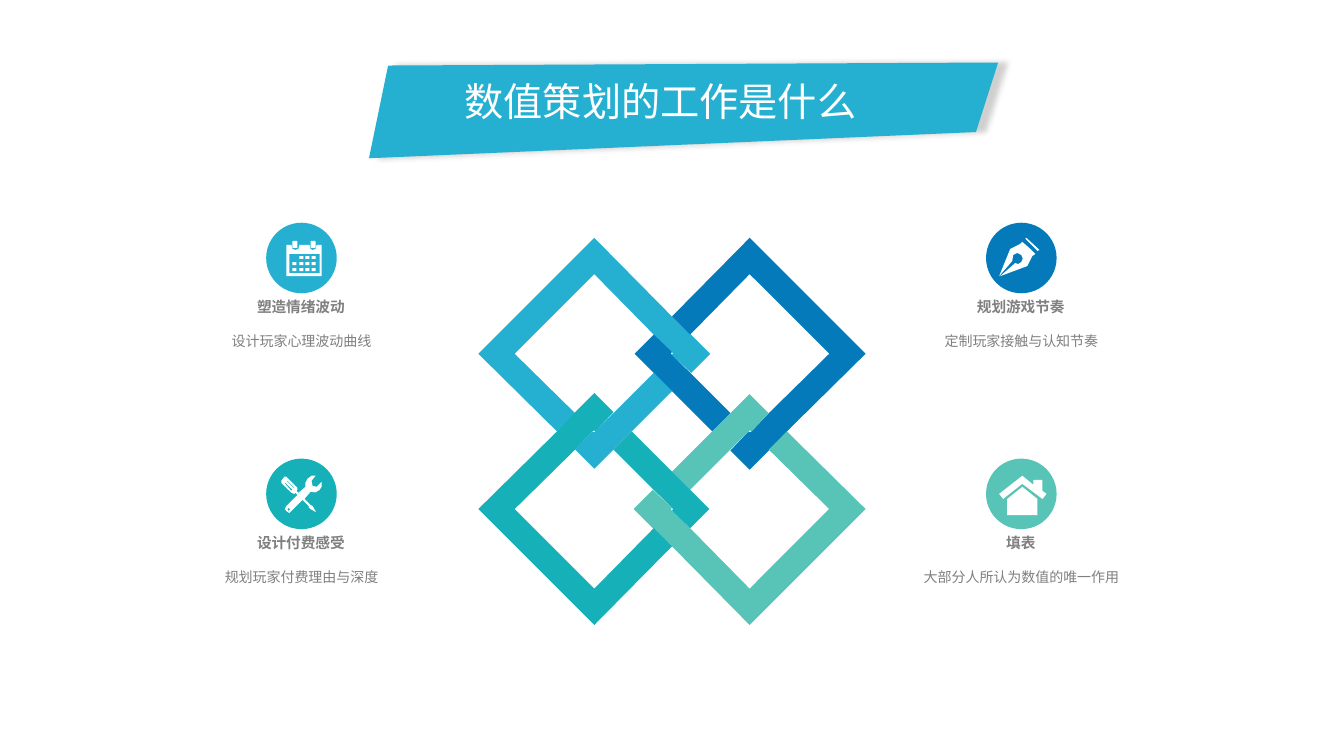
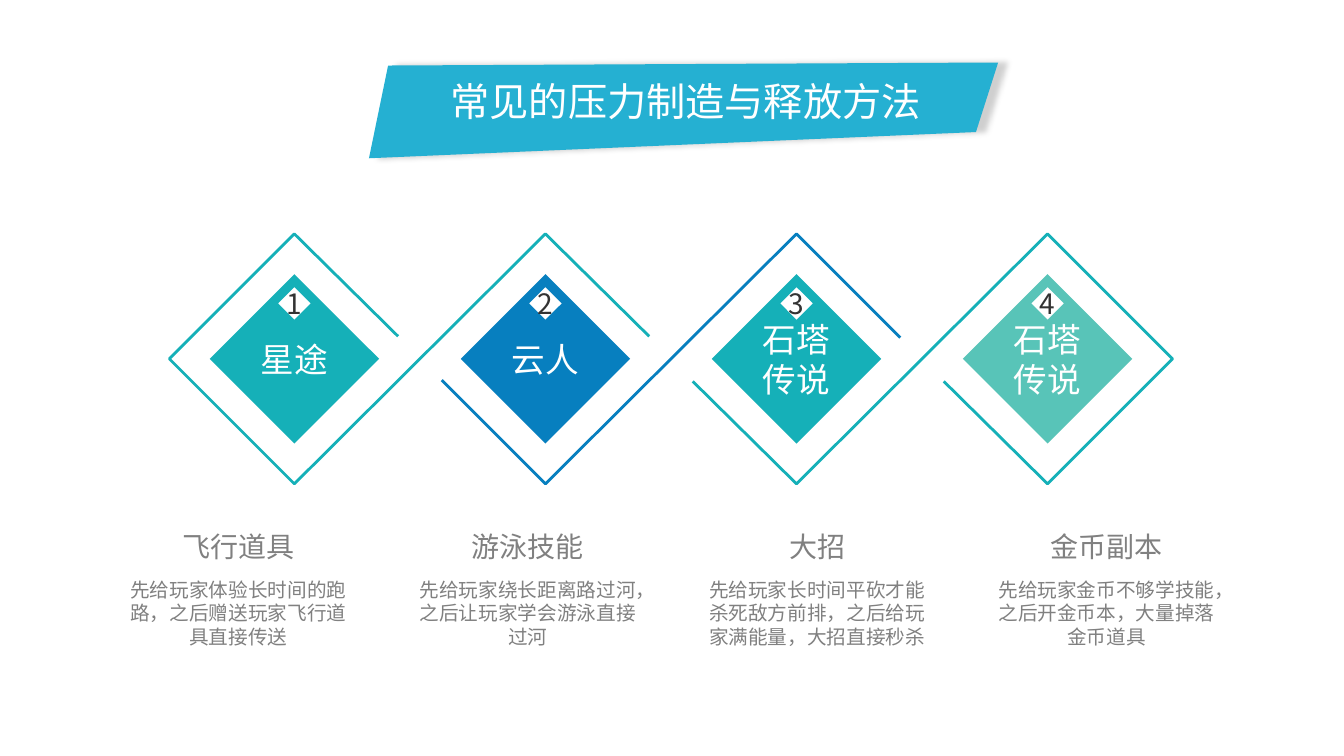
from lxml import etree
from pptx import Presentation
from pptx.dml.color import RGBColor
from pptx.enum.shapes import MSO_SHAPE
from pptx.enum.text import MSO_ANCHOR, MSO_AUTO_SIZE, PP_ALIGN
from pptx.oxml.ns import qn
from pptx.util import Inches, Pt

CENTER = PP_ALIGN.CENTER
TOP, MIDDLE = MSO_ANCHOR.TOP, MSO_ANCHOR.MIDDLE
NO_AUTOFIT = MSO_AUTO_SIZE.NONE
RECT, DIAMOND = MSO_SHAPE.RECTANGLE, MSO_SHAPE.DIAMOND
ROUND, DISC = MSO_SHAPE.ROUNDED_RECTANGLE, MSO_SHAPE.FLOWCHART_CONNECTOR

FONT = "Noto Sans CJK SC"
SLIDE_W, SLIDE_H = 13.33, 7.5
COLORS = {
    "sky": "25B0D2", "blue": "047ABA", "royal": "077FBF", "teal": "15B0B8",
    "mint": "58C4B8", "white": "FFFFFF", "gray": "808080", "dark": "333333",
}

BANNER = [(3.85, 0.65), (3.66, 1.57), (9.68, 1.31), (9.9, 0.62)]

LINK_CENTER = (SLIDE_W / 2, 4.28)
LINK_COLORS = ["sky", "blue", "mint", "teal"]
LINK_PIECES = [
    [(0.38, -0.77), (0.19, -0.58), (0, -0.76), (0.01, -0.77), (0, -0.79),
     (-0.18, -0.96), (-0.77, -1.56), (-1.56, -0.77), (-0.96, -0.18),
     (-1.14, 0), (-1.92, -0.77), (-0.77, -1.92), (0, -1.14), (0.19, -0.96)],
    [(-0.58, -0.18), (-0.76, 0), (-0.77, 0.01), (-0.79, 0), (-0.96, 0.18),
     (-0.77, 0.37), (-0.58, 0.18), (-0.4, 0), (0, -0.4), (-0.18, -0.58)],
]

BADGE = 0.7
ICONS = {
    "calendar": [[
        [(20, 22), (25, 22), (26, 26), (29, 27), (32, 26), (33, 22),
         (43, 22), (44, 26), (46, 27), (49, 26), (50, 22), (55, 22),
         (55, 53), (20, 53)],
        [(23, 31), (53, 31), (53, 50), (23, 50)],
    ]],
    "pen": [
        [[(44, 26), (36, 19), (34, 21), (24, 26), (13, 53), (26, 38),
          (27, 32), (31, 30), (35, 32), (36.5, 35.5), (35, 39), (32, 41),
          (29, 40), (14, 53), (41, 43), (46, 33), (49, 31)]],
        [[(40, 15), (53, 27), (51, 28), (39, 16)]],
    ],
    "tools": [[
        [(15, 22), (18, 18), (20, 18), (31, 29), (31, 31), (30, 32),
         (32, 34), (39, 28), (39, 24), (41, 20), (45, 17), (49, 17),
         (45, 22), (46, 27), (50, 28), (55, 23), (55, 28), (53, 31),
         (49, 33.5), (44, 33), (38, 40), (44, 46), (46, 47), (49, 52),
         (49, 53), (44, 50), (42, 48), (43, 48), (36, 41), (25, 52),
         (23, 54), (20, 52), (18.5, 50), (20, 47), (31, 36), (29, 34),
         (28, 35), (25, 34), (16, 25), (15, 24)],
        [(22, 49), (21, 50), (22, 52), (24, 50)],
        [(27, 29), (28, 29), (21, 22), (20, 22)],
        [(25, 32), (26, 31), (19, 24), (18, 24)],
    ]],
    "house": [
        [[(21, 40), (21, 56), (51, 56), (51, 40), (36, 28)]],
        [[(56, 32), (56, 21), (47, 21), (47, 26), (36, 17), (13, 35),
          (17, 40), (36, 25), (56, 40), (60, 35)]],
    ],
}

FEATURE_COLS, FEATURE_ROWS = (2.99, 10.13), (2.21, 4.55)
FEATURES = [
    (0, 0, "calendar", "sky", "塑造情绪波动", "设计玩家心理波动曲线"),
    (1, 0, "pen", "blue", "规划游戏节奏", "定制玩家接触与认知节奏"),
    (0, 1, "tools", "teal", "设计付费感受", "规划玩家付费理由与深度"),
    (1, 1, "house", "mint", "填表", "大部分人所认为数值的唯一作用"),
]

STEP_LEFT, STEP_PITCH, STEP_Y, FRAME = 2.92, 2.49, 3.56, 1.24
CAPTION_LEFT, CAPTION_PITCH, CAPTION_W = 1.18, 2.87, 2.37
STEPS = [
    ("teal", ["星途"], "飞行道具", "先给玩家体验长时间的跑路，之后赠送玩家飞行道具直接传送"),
    ("royal", ["云人"], "游泳技能", "先给玩家绕长距离路过河，之后让玩家学会游泳直接过河"),
    ("teal", ["石塔", "传说"], "大招",
     "先给玩家长时间平砍才能杀死敌方前排，之后给玩家满能量，大招直接秒杀"),
    ("mint", ["石塔", "传说"], "金币副本", "先给玩家金币不够学技能，之后开金币本，大量掉落金币道具"),
]
RIBBONS = [
    ("teal", [(1, 0.83, -0.18), (1, 0, -1), (0, 0, 1), (0, -1, 0),
              (0, 0, -1), (0, 0.83, -0.18)]),
    ("royal", [(1, -0.83, 0.17), (1, 0, 1), (2, 0, -1), (2, 0.83, -0.17)]),
    ("teal", [(2, -0.83, 0.18), (2, 0, 1), (3, 0, -1), (3, 1, 0),
              (3, 0, 1), (3, -0.83, 0.18)]),
]


def rgb(name):
    """Return the named palette colour."""
    return RGBColor.from_string(COLORS[name])


def paint(shape, color):
    """Fill a shape flat, with no outline or shadow."""
    shape.shadow.inherit = False
    shape.fill.solid()
    shape.fill.fore_color.rgb = rgb(color)
    shape.line.fill.background()
    return shape


def add_preset(slide, kind, left, top, width, height, color):
    """Add a flat preset shape, measured in inches."""
    box = map(Inches, (left, top, width, height))
    return paint(slide.shapes.add_shape(kind, *box), color)


def add_outline(slide, contours, close=True):
    """Build a freeform from contours given in inches."""
    scaled = [[(Inches(x), Inches(y)) for x, y in c] for c in contours]
    builder = slide.shapes.build_freeform(*scaled[0][0], scale=1.0)
    for index, contour in enumerate(scaled):
        if index:
            builder.move_to(*contour[0])
        builder.add_line_segments(contour[1:], close=close)
    return builder.convert_to_shape()


def write(shape, lines, size, color, bold=False, spacing=None, anchor=TOP,
          wrap=True, insets=(0, 0)):
    """Write centred lines into a shape."""
    frame = shape.text_frame
    frame.text = "\n".join(lines)
    frame.auto_size = NO_AUTOFIT
    frame.word_wrap = wrap
    frame.vertical_anchor = anchor
    frame.margin_left = frame.margin_right = Inches(insets[0])
    frame.margin_top = frame.margin_bottom = Inches(insets[1])
    for paragraph in frame.paragraphs:
        paragraph.alignment = CENTER
        if spacing:
            paragraph.line_spacing = spacing
        font = paragraph.font
        font.size, font.bold, font.name = Pt(size), bold, FONT
        font.color.rgb = rgb(color)
    for defaults in shape.element.iter(qn("a:defRPr")):
        etree.SubElement(defaults, qn("a:ea"), typeface=FONT)


def add_label(slide, box, text, size, color="gray", **style):
    """Add a text box holding one line or paragraph."""
    label = slide.shapes.add_textbox(*map(Inches, box))
    write(label, [text], size, color, **style)


def add_banner(slide, layout):
    """Draw the shared title banner and move it to the layout."""
    banner = paint(add_outline(slide, [BANNER]), "sky")
    effects = banner.element.spPr.find(qn("a:effectLst"))
    shadow = etree.SubElement(effects, qn("a:outerShdw"), blurRad=str(Pt(4)),
                              dist=str(Pt(6)), dir="0", algn="l", rotWithShape="0")
    black = etree.SubElement(shadow, qn("a:srgbClr"), val="000000")
    etree.SubElement(black, qn("a:alpha"), val="19000")
    layout.shapes.element.insert(2, banner.element)


def set_title(slide, text, center):
    """Place the slide title over the banner."""
    title = slide.shapes.title
    title.left, title.top = Inches(center - 2.75), Inches(0.72)
    title.width, title.height = Inches(5.5), Inches(0.57)
    write(title, [text], 28, "white", insets=(0.1, 0.05))


def add_links(slide, center):
    """Weave four square links, each a quarter turn of the one before."""
    pieces = LINK_PIECES
    for color in LINK_COLORS:
        contours = [[(center[0] + x, center[1] + y) for x, y in piece]
                    for piece in pieces]
        paint(add_outline(slide, contours), color)
        pieces = [[(-y, x) for x, y in piece] for piece in pieces]


def add_icon(slide, icon, left, top):
    """Draw a white icon inside the badge at the given corner."""
    for contours in ICONS[icon]:
        placed = [[(left + x / 100, top + y / 100) for x, y in contour]
                  for contour in contours]
        paint(add_outline(slide, placed), "white")
    if icon == "calendar":
        for x in (0.26, 0.44):
            add_preset(slide, ROUND, left + x, top + 0.18, 0.05, 0.07, "white")
        for row, y in enumerate((0.33, 0.39, 0.45)):
            for x in (0.26, 0.33, 0.39, 0.45)[row == 0:]:
                add_preset(slide, RECT, left + x, top + y, 0.04, 0.03, "white")


def add_feature(slide, center, top, icon, color, heading, detail):
    """Stack a badge, a heading and a detail line around a centre."""
    left = center - BADGE / 2
    add_preset(slide, DISC, left, top, BADGE, BADGE, color)
    add_icon(slide, icon, left, top)
    add_label(slide, (center - 0.74, top + 0.7, 1.47, 0.35), heading, 10.5,
              bold=True, wrap=False, insets=(0.1, 0.05))
    add_label(slide, (center - 1.15, top + 1.06, 2.3, 0.83), detail, 10,
              spacing=1.2)


def add_diamond(slide, center, middle, size, color, lines, points, ink):
    """Add a diamond with text around a centre."""
    diamond = add_preset(slide, DIAMOND, center - size / 2, middle - size / 2,
                         size, size, color)
    write(diamond, lines, points, ink, anchor=MIDDLE, wrap=False)


def add_ribbons(slide):
    """Thread the open outlines around the step diamonds."""
    for color, turns in RIBBONS:
        points = [(STEP_LEFT + STEP_PITCH * column + FRAME * x,
                   STEP_Y + FRAME * y) for column, x, y in turns]
        ribbon = add_outline(slide, [points], close=False)
        ribbon.shadow.inherit = False
        ribbon.fill.background()
        ribbon.line.color.rgb = rgb(color)
        ribbon.line.width = Pt(2)


def add_step(slide, index, color, name, heading, detail):
    """Add one numbered diamond and its caption column."""
    center = STEP_LEFT + STEP_PITCH * index
    add_diamond(slide, center, STEP_Y, 1.68, color, name, 24, "white")
    add_diamond(slide, center, STEP_Y - 0.55, 0.32, "white",
                [str(index + 1)], 20, "dark")
    left = CAPTION_LEFT + CAPTION_PITCH * index
    add_label(slide, (left, 5.2, CAPTION_W, 0.44), heading, 20,
              insets=(0.1, 0.05))
    add_label(slide, (left, 5.73, CAPTION_W, 1.17), detail, 14,
              insets=(0.1, 0))


def build_work_slide(slide):
    """Show the four jobs around the woven links."""
    set_title(slide, "数值策划的工作是什么", 6.55)
    add_links(slide, LINK_CENTER)
    for column, row, *content in FEATURES:
        add_feature(slide, FEATURE_COLS[column], FEATURE_ROWS[row], *content)


def build_methods_slide(slide):
    """Show the four examples along the ribbon."""
    set_title(slide, "常见的压力制造与释放方法", 6.8)
    add_ribbons(slide)
    for index, step in enumerate(STEPS):
        add_step(slide, index, *step)


def main():
    """Build and save the presentation."""
    deck = Presentation()
    deck.slide_width, deck.slide_height = Inches(SLIDE_W), Inches(SLIDE_H)
    layout = deck.slide_layouts[5]
    work, methods = (deck.slides.add_slide(layout) for _ in range(2))
    add_banner(work, layout)
    build_work_slide(work)
    build_methods_slide(methods)
    deck.save("out.pptx")


if __name__ == "__main__":
    main()
